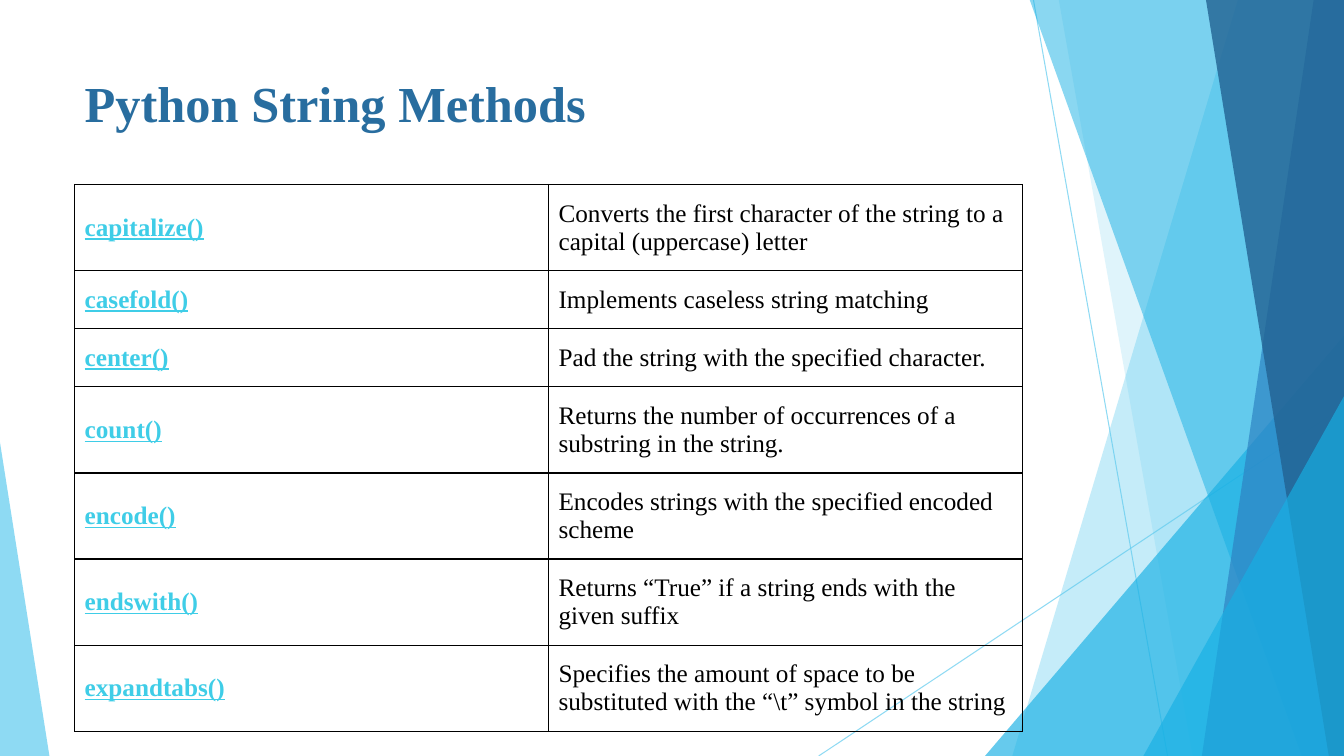
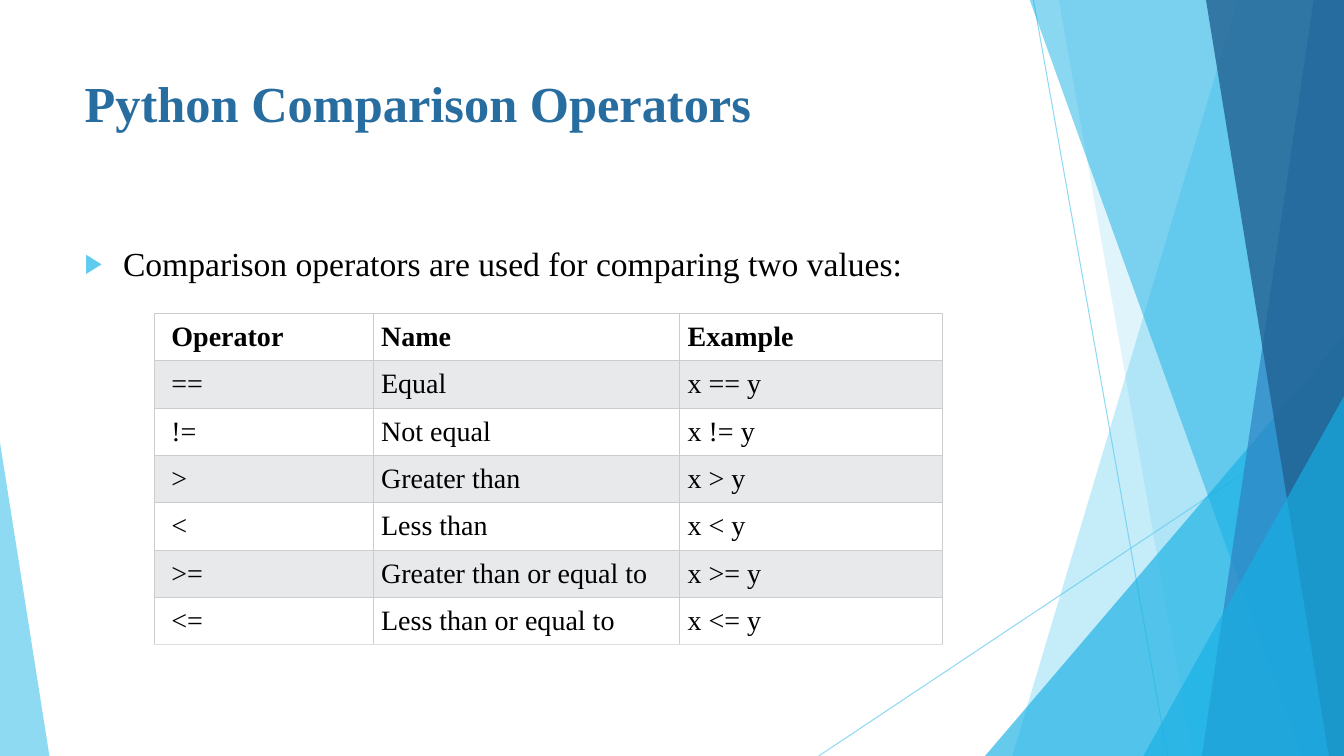
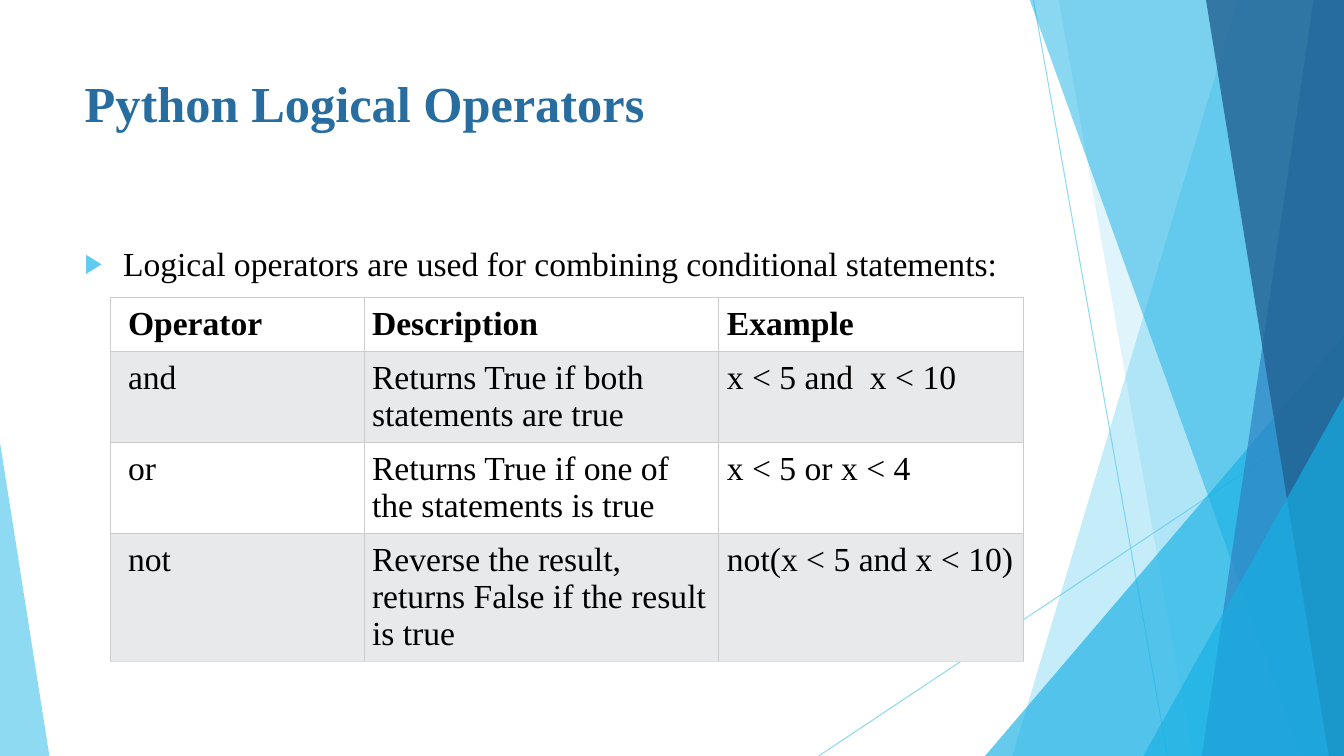
from dataclasses import dataclass
from typing import Optional, Union

from lxml import etree
from pptx import Presentation
from pptx.dml.color import RGBColor
from pptx.enum.shapes import MSO_CONNECTOR, MSO_SHAPE
from pptx.enum.text import MSO_ANCHOR, MSO_AUTO_SIZE, PP_ALIGN
from pptx.oxml.ns import qn
from pptx.util import Inches, Pt

STRAIGHT = MSO_CONNECTOR.STRAIGHT
TRIANGLE = MSO_SHAPE.ISOSCELES_TRIANGLE
TOP = MSO_ANCHOR.TOP
MIDDLE = MSO_ANCHOR.MIDDLE
LEFT = PP_ALIGN.LEFT
NO_AUTOFIT = MSO_AUTO_SIZE.NONE
TITLE_AND_CONTENT = 1
TITLE_ONLY = 5


@dataclass(frozen=True)
class Theme:
    font: str = "Times New Roman"
    title: str = "286D9F"
    text: str = "000000"
    method: str = "3FCDE7"
    sky: str = "5FCBEF"
    cyan: str = "17B0E4"
    blue: str = "2E83C3"
    navy: str = "226292"
    white: str = "FFFFFF"
    stripe: str = "E7E9EB"
    grid: str = "CCCCCC"
    grid_end: str = "DDDDDD"
    title_size: int = 36
    body_size: int = 24
    operator_size: int = 20
    method_size: int = 18


THEME = Theme()
SLIDE_WIDTH = 13.33
SLIDE_HEIGHT = 7.5
MARGIN = 0.74
CONTENT_WIDTH = 9.4


@dataclass(frozen=True)
class Ray:
    start: tuple[float, float]
    end: tuple[float, float]
    color: str
    opacity: int


@dataclass(frozen=True)
class Band:
    top_left: float
    bottom_left: float
    bottom_right: float
    color: str
    opacity: int


@dataclass(frozen=True)
class Wedge:
    left: float
    top: float
    width: float
    apex: int
    color: str
    opacity: int


Layer = Union[Ray, Band, Wedge]


@dataclass(frozen=True)
class TableStyle:
    size: int
    border: str
    last_border: str
    border_width: float
    first_inset: float
    side_inset: float
    vertical_inset: float
    anchor: MSO_ANCHOR
    striped: bool
    method_column: bool


@dataclass(frozen=True)
class TableContent:
    left: float
    top: float
    column_widths: list[float]
    row_heights: list[float]
    rows: list[tuple[str, ...]]
    style: TableStyle


@dataclass(frozen=True)
class Page:
    title: str
    statement: Optional[str]
    table: TableContent


def operator_style(size: int) -> TableStyle:
    return TableStyle(size, THEME.grid, THEME.grid_end, 0.75, 0.17, 0.08, 0.08, TOP, True, False)


METHOD_STYLE = TableStyle(
    THEME.method_size, THEME.text, THEME.text, 1, 0.1, 0.1, 0.15, MIDDLE, False, True
)

LAYERS: list[Layer] = [
    Ray((10.25, 0), (11.58, SLIDE_HEIGHT), THEME.sky, 70),
    Ray((SLIDE_WIDTH, 4.03), (8.12, SLIDE_HEIGHT), THEME.sky, 70),
    Band(12.28, 10.04, SLIDE_WIDTH, THEME.sky, 36),
    Band(10.5, 11.83, SLIDE_WIDTH, THEME.sky, 20),
    Wedge(9.77, 3.33, 3.56, 1, THEME.cyan, 66),
    Band(10.21, 12.91, SLIDE_WIDTH, THEME.cyan, 50),
    Band(13.03, 11.92, SLIDE_WIDTH, THEME.blue, 70),
    Band(11.96, 13.18, SLIDE_WIDTH, THEME.navy, 80),
    Wedge(11.34, 3.93, 1.99, 1, THEME.cyan, 66),
    Wedge(0, 4.39, 0.49, 0, THEME.sky, 70),
]

PAGES = [
    Page(
        "Python String Methods",
        None,
        TableContent(
            MARGIN,
            1.83,
            [4.7, 4.7],
            [0.84, 0.57, 0.57, 0.84, 0.84, 0.84, 0.84],
            [
                ("capitalize()", "Converts the first character of the string to a capital (uppercase) letter"),
                ("casefold()", "Implements caseless string matching"),
                ("center()", "Pad the string with the specified character."),
                ("count()", "Returns the number of occurrences of a substring in the string."),
                ("encode()", "Encodes strings with the specified encoded scheme"),
                ("endswith()", "Returns “True” if a string ends with the given suffix"),
                (
                    "expandtabs()",
                    r"Specifies the amount of space to be substituted with the “\t” symbol in the string",
                ),
            ],
            METHOD_STYLE,
        ),
    ),
    Page(
        "Python Comparison Operators",
        "Comparison operators are used for comparing two values:",
        TableContent(
            1.53,
            3.11,
            [2.17, 3.04, 2.61],
            [0.47] * 7,
            [
                ("Operator", "Name", "Example"),
                ("==", "Equal", "x == y"),
                ("!=", "Not equal", "x != y"),
                (">", "Greater than", "x > y"),
                ("<", "Less than", "x < y"),
                (">=", "Greater than or equal to", "x >= y"),
                ("<=", "Less than or equal to", "x <= y"),
            ],
            operator_style(THEME.operator_size),
        ),
    ),
    Page(
        "Python Logical Operators",
        "Logical operators are used for combining conditional statements:",
        TableContent(
            1.1,
            2.95,
            [2.51, 3.52, 3.02],
            [0.54, 0.9, 0.9, 1.27],
            [
                ("Operator", "Description", "Example"),
                ("and", "Returns True if both statements are true", "x < 5 and  x < 10"),
                ("or", "Returns True if one of the statements is true", "x < 5 or x < 4"),
                ("not", "Reverse the result, returns False if the result is true", "not(x < 5 and x < 10)"),
            ],
            operator_style(THEME.body_size),
        ),
    ),
]


def rgb(color: str) -> RGBColor:
    return RGBColor.from_string(color)


def set_opacity(shape, opacity: int) -> None:
    for color in shape.element.iter(qn("a:srgbClr")):
        etree.SubElement(color, qn("a:alpha"), val=str(opacity * 1000))


def draw_ray(shapes, ray: Ray) -> None:
    points = [Inches(value) for value in ray.start + ray.end]
    connector = shapes.add_connector(STRAIGHT, *points)
    connector.line.color.rgb = rgb(ray.color)
    connector.line.width = Pt(0.75)
    etree.SubElement(connector.element.spPr, qn("a:effectLst"))
    set_opacity(connector, ray.opacity)


def draw_area(shapes, area: Union[Band, Wedge]) -> None:
    if isinstance(area, Band):
        top, bottom = Inches(-0.01), Inches(SLIDE_HEIGHT)
        builder = shapes.build_freeform(Inches(area.top_left), top)
        builder.add_line_segments(
            [
                (Inches(SLIDE_WIDTH), top),
                (Inches(area.bottom_right), bottom),
                (Inches(area.bottom_left), bottom),
            ],
            close=True,
        )
        shape = builder.convert_to_shape()
    else:
        shape = shapes.add_shape(
            TRIANGLE,
            Inches(area.left),
            Inches(area.top),
            Inches(area.width),
            Inches(SLIDE_HEIGHT - area.top),
        )
        shape.adjustments[0] = area.apex
    shape.shadow.inherit = False
    shape.fill.solid()
    shape.fill.fore_color.rgb = rgb(area.color)
    shape.line.fill.background()
    set_opacity(shape, area.opacity)


def decorate_master(presentation, slide) -> None:
    group = slide.shapes.add_group_shape()
    for layer in LAYERS:
        if isinstance(layer, Ray):
            draw_ray(group.shapes, layer)
        else:
            draw_area(group.shapes, layer)
    for number, properties in enumerate(group.element.iter(qn("p:cNvPr")), 100):
        properties.set("id", str(number))
    presentation.slide_master.shapes.element.insert(2, group.element)


def format_runs(paragraph, size: int, color: str, bold: bool = False, underline: bool = False) -> None:
    for run in paragraph.runs:
        run.font.name = THEME.font
        run.font.size = Pt(size)
        run.font.color.rgb = rgb(color)
        run.font.bold = bold
        run.font.underline = underline


def fill_placeholder(placeholder, text: str, top: float, height: float):
    placeholder.left, placeholder.top = Inches(MARGIN), Inches(top)
    placeholder.width, placeholder.height = Inches(CONTENT_WIDTH), Inches(height)
    frame = placeholder.text_frame
    frame.text = text
    frame.word_wrap = True
    frame.auto_size = NO_AUTOFIT
    frame.vertical_anchor = TOP
    paragraph = frame.paragraphs[0]
    paragraph.alignment = LEFT
    return paragraph


def add_bullet(paragraph) -> None:
    properties = paragraph._p.get_or_add_pPr()
    indent = Inches(0.38)
    properties.set("marL", str(indent))
    properties.set("indent", str(-indent))
    color = etree.SubElement(properties, qn("a:buClr"))
    etree.SubElement(color, qn("a:srgbClr"), val=THEME.sky)
    etree.SubElement(properties, qn("a:buSzPct"), val="80000")
    etree.SubElement(properties, qn("a:buChar"), char="▶")
    paragraph.space_before = Pt(0)


def set_borders(cell, style: TableStyle, is_last: bool) -> None:
    properties = cell._tc.get_or_add_tcPr()
    for position, side in enumerate(("lnL", "lnR", "lnT", "lnB")):
        color = style.last_border if is_last and side == "lnB" else style.border
        line = etree.Element(qn(f"a:{side}"), w=str(Pt(style.border_width)))
        fill = etree.SubElement(line, qn("a:solidFill"))
        etree.SubElement(fill, qn("a:srgbClr"), val=color)
        properties.insert(position, line)


def format_cell(cell, text: str, row: int, column: int, content: TableContent) -> None:
    style = content.style
    is_method = style.method_column and column == 0
    is_header = style.striped and row == 0
    cell.text_frame.text = text
    cell.vertical_anchor = style.anchor
    cell.margin_left = Inches(style.first_inset if column == 0 else style.side_inset)
    cell.margin_right = Inches(style.side_inset)
    cell.margin_top = cell.margin_bottom = Inches(style.vertical_inset)
    if style.striped:
        cell.fill.solid()
        cell.fill.fore_color.rgb = rgb(THEME.stripe if row % 2 else THEME.white)
    else:
        cell.fill.background()
    set_borders(cell, style, row == len(content.rows) - 1)
    format_runs(
        cell.text_frame.paragraphs[0],
        style.size,
        THEME.method if is_method else THEME.text,
        bold=is_method or is_header,
        underline=is_method,
    )


def draw_table(slide, content: TableContent) -> None:
    table = slide.shapes.add_table(
        len(content.rows),
        len(content.column_widths),
        Inches(content.left),
        Inches(content.top),
        Inches(sum(content.column_widths)),
        Inches(sum(content.row_heights)),
    ).table
    table.first_row = False
    table.horz_banding = False
    for column, width in zip(table.columns, content.column_widths):
        column.width = Inches(width)
    for row, height in zip(table.rows, content.row_heights):
        row.height = Inches(height)
    for row_index, texts in enumerate(content.rows):
        for column_index, text in enumerate(texts):
            format_cell(table.cell(row_index, column_index), text, row_index, column_index, content)


def draw_page(presentation, page: Page):
    layout = TITLE_AND_CONTENT if page.statement else TITLE_ONLY
    slide = presentation.slides.add_slide(presentation.slide_layouts[layout])
    title = fill_placeholder(slide.shapes.title, page.title, 0.67, 1.44)
    format_runs(title, THEME.title_size, THEME.title, bold=True)
    if page.statement:
        statement = fill_placeholder(slide.placeholders[1], page.statement, 2.36, 4.24)
        add_bullet(statement)
        format_runs(statement, THEME.body_size, THEME.text)
    draw_table(slide, page.table)
    return slide


def main() -> None:
    presentation = Presentation()
    presentation.slide_width = Inches(SLIDE_WIDTH)
    presentation.slide_height = Inches(SLIDE_HEIGHT)
    slides = [draw_page(presentation, page) for page in PAGES]
    decorate_master(presentation, slides[0])
    presentation.save("out.pptx")


if __name__ == "__main__":
    main()
